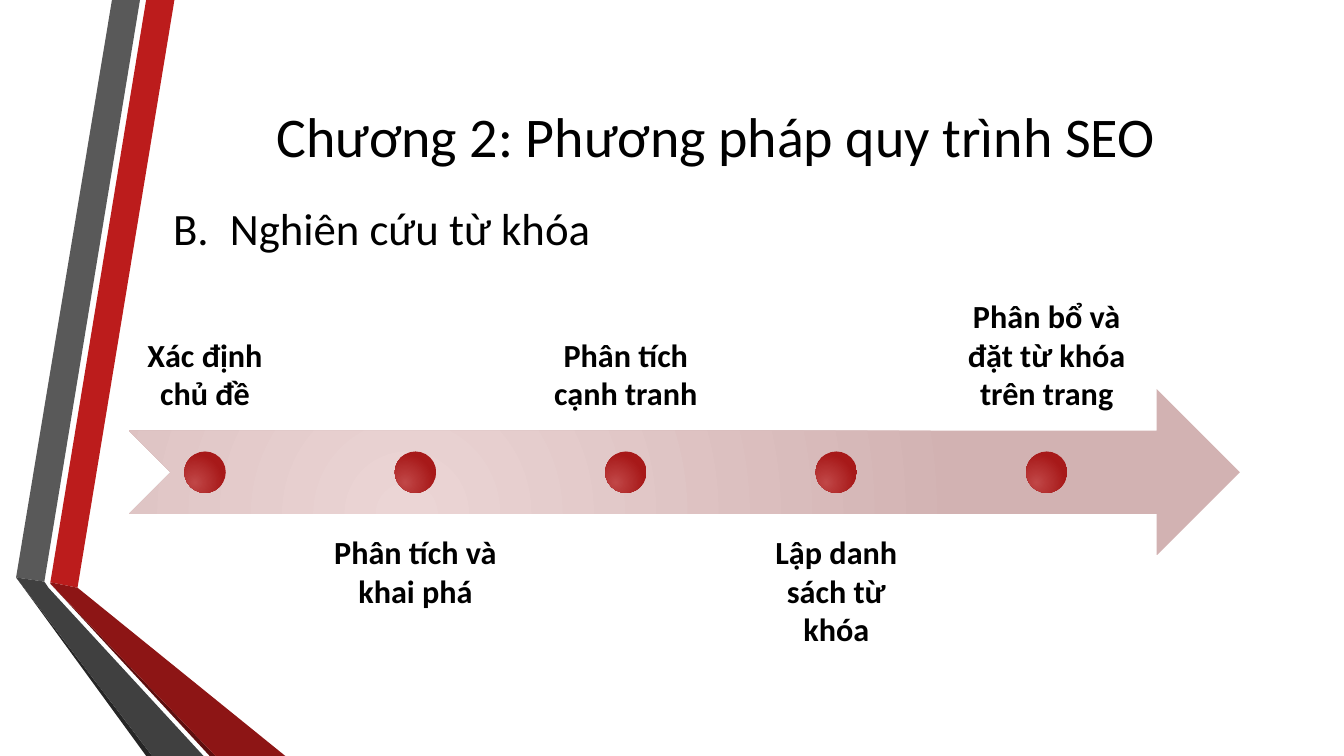
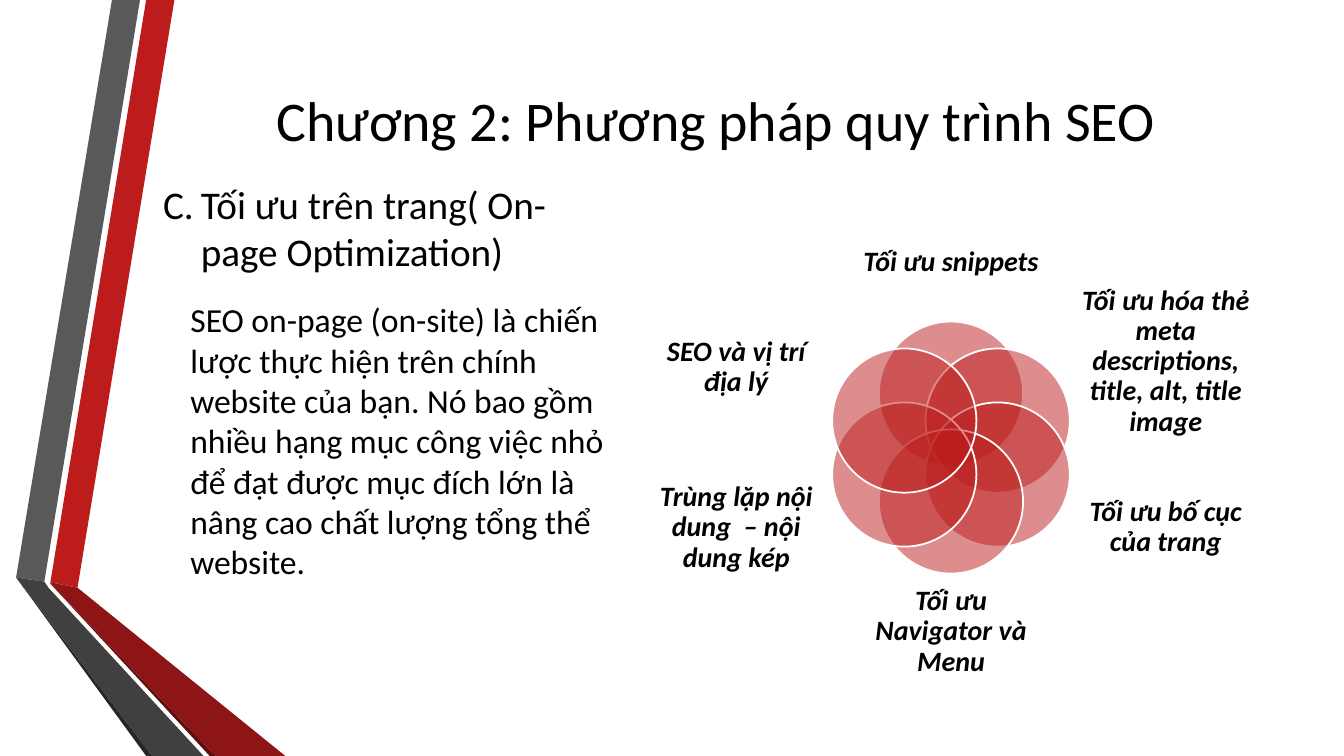
import math

from lxml import etree
from pptx import Presentation
from pptx import util as u
from pptx.dml.color import RGBColor
from pptx.enum import shapes, text
from pptx.oxml import ns

FONT = "Calibri"
BLACK, WHITE, RED = "000000", "FFFFFF", "BC1C1C"
CHAPTER = "Chương 2: Phương pháp quy trình SEO"
BANDS = [
    (RED, [(36, 416), (55.4, 419.8), (124.6, 0), (104.4, 0)]),
    ("595959", [(100, 0), (80, 0), (11.5, 412.5), (31.7, 415.5)]),
    ("262626", [(11.5, 412.5), (104.4, 540), (108.7, 540)]),
    ("5E0E0E", [(36, 416.9), (149.8, 540), (154, 540)]),
    ("8D1515", [(36, 416), (36, 416.9), (154, 540), (203.8, 540), (55.4, 419.8)]),
    ("404040", [(11.5, 412.5), (108.7, 540), (145.4, 540), (34.6, 419.8), (31.7, 415.5)]),
]
MIDDLE, TOP, BOTTOM = (text.MSO_ANCHOR.MIDDLE, text.MSO_ANCHOR.TOP,
                       text.MSO_ANCHOR.BOTTOM)


def rgb(code):
    return RGBColor.from_string(code)


def points(*lengths):
    return [u.Pt(length) for length in lengths]


def add_xml(parent, tag, **attributes):
    return etree.SubElement(parent, ns.qn(tag), attributes)


class Deck:
    """Holds the shared style and the slide being drawn."""

    def __init__(self):
        self.prs = Presentation()
        self.prs.slide_width, self.prs.slide_height = points(960, 540)
        self.slide = None

    def start_slide(self, title, title_height):
        self.slide = self.prs.slides.add_slide(self.prs.slide_layouts[6])
        for color, corners in BANDS:
            self.band(color, corners)
        self.add_text(title, 116.6, 54, 789, title_height, size=40,
                      centered=True, anchor=MIDDLE)

    def band(self, color, corners):
        first, *rest = [points(*corner) for corner in corners]
        builder = self.slide.shapes.build_freeform(*first)
        builder.add_line_segments(rest)
        self.paint(builder.convert_to_shape(), color)

    def paint(self, shape, color, outline=None):
        shape.shadow.inherit = False
        shape.fill.solid()
        shape.fill.fore_color.rgb = rgb(color)
        if outline:
            shape.line.color.rgb = rgb(outline)
            shape.line.width = u.Pt(1.25)
        else:
            shape.line.fill.background()

    def radial(self, kind, left, top, width, height, inner, outer):
        """Adds a shape with a gradient that spreads from its lower edge."""
        shape = self.slide.shapes.add_shape(kind, *points(left, top, width, height))
        shape.shadow.inherit = False
        shape.line.fill.background()
        shape.fill.gradient()
        for stop, color, position in zip(shape.fill.gradient_stops,
                                         (inner, outer), (0, 1)):
            stop.color.rgb = rgb(color)
            stop.position = position
        gradient = shape._element.spPr.find(ns.qn("a:gradFill"))
        gradient.remove(gradient.find(ns.qn("a:lin")))
        spread = add_xml(gradient, "a:path", path="circle")
        add_xml(spread, "a:fillToRect", l="50000", t="100000", r="100000", b="50000")

    def petal(self, center_x, center_y, diameter):
        """Adds a half-transparent circle with a white outline."""
        shape = self.slide.shapes.add_shape(
            shapes.MSO_SHAPE.OVAL,
            *points(center_x - diameter / 2, center_y - diameter / 2, diameter, diameter))
        self.paint(shape, RED, outline=WHITE)
        color = shape._element.spPr.find(ns.qn("a:solidFill"))[0]
        add_xml(color, "a:alpha", val="50000")

    def add_text(self, words, left, top, width, height, *, size, bold=False,
                 italic=False, centered=False, anchor=TOP, inset=(7.2, 3.6),
                 spacing=None, letter=None, indent=0):
        """Adds a text box; letter is the place in the alphabet of its list mark."""
        box = self.slide.shapes.add_textbox(*points(left, top, width, height))
        frame = box.text_frame
        frame.word_wrap = True
        frame.vertical_anchor = anchor
        frame.margin_left = frame.margin_right = u.Pt(inset[0])
        frame.margin_top = frame.margin_bottom = u.Pt(inset[1])
        paragraph = frame.paragraphs[0]
        if centered:
            paragraph.alignment = text.PP_ALIGN.CENTER
        if spacing:
            paragraph.line_spacing = spacing
        if letter:
            properties = paragraph._p.get_or_add_pPr()
            properties.set("marL", str(u.Pt(indent)))
            properties.set("indent", str(-u.Pt(indent)))
            add_xml(properties, "a:buFont", typeface="+mj-lt")
            add_xml(properties, "a:buAutoNum", type="alphaUcPeriod",
                    startAt=str(letter))
        run = paragraph.add_run()
        run.text = words
        font = run.font
        font.name, font.size = FONT, u.Pt(size)
        font.bold, font.italic = bold, italic
        font.color.rgb = rgb(BLACK)


def keyword_slide(deck):
    deck.start_slide(CHAPTER, 85.7)
    deck.radial(shapes.MSO_SHAPE.NOTCHED_RIGHT_ARROW, 92.2, 277.9, 793.4, 118.8,
                "EBD5D5", "D2B2B2")
    steps = ["Xác định chủ đề", "Phân tích và khai phá", "Phân tích cạnh tranh",
             "Lập danh sách từ khóa", "Phân bổ và đặt từ khóa trên trang"]
    width, dot = 143, 29.6
    for i, step in enumerate(steps):
        center = 146.5 + 150.3 * i
        above = i % 2 == 0
        deck.add_text(step, center - width / 2, 188.6 if above else 367.2, width, 118.8,
                      size=23, bold=True, centered=True, inset=(13, 13),
                      anchor=BOTTOM if above else TOP)
        deck.radial(shapes.MSO_SHAPE.OVAL, center - dot / 2, 322.5, dot, dot,
                    "C14747", "A71919")
    deck.add_text("Nghiên cứu từ khóa", 116.6, 139.7, 625.7, 46, size=32,
                  letter=2, indent=40.5)


def on_page_slide(deck):
    deck.start_slide(CHAPTER, 62)
    hub_x, hub_y = 679.3, 319.7
    # Clockwise from the top: words, offset from the hub, middle, width, height
    topics = [
        ("Tối ưu snippets", 0, 187.6, 129, 70),
        ("Tối ưu hóa thẻ meta descriptions, title, alt, title image",
         153.4, 258.2, 122, 77),
        ("Tối ưu bố cục của trang", 153.4, 377, 122, 86),
        ("Tối ưu Navigator và Menu", 0, 451.2, 129, 70),
        ("Trùng lặp nội dung  – nội dung kép", -153.4, 377, 122, 86),
        ("SEO và vị trí địa lý", -153.4, 262.4, 122, 86),
    ]
    for i, (topic, offset, middle, width, height) in enumerate(topics):
        angle = math.tau * i / len(topics)
        deck.petal(hub_x + 38.5 * math.sin(angle), hub_y - 38.5 * math.cos(angle), 103)
        deck.add_text(topic, hub_x + offset - width / 2, middle - height / 2,
                      width, height, size=20, bold=True, italic=True, centered=True,
                      anchor=MIDDLE, inset=(0, 0), spacing=0.9)
    deck.add_text("Tối ưu trên trang( On-page Optimization)", 109.4, 125.3, 311.8, 75,
                  size=28, letter=3, indent=27)
    deck.add_text("SEO on-page (on-site) là chiến lược thực hiện trên chính website "
                  "của bạn. Nó bao gồm nhiều hạng mục công việc nhỏ để đạt được "
                  "mục đích lớn là nâng cao chất lượng tổng thể website.",
                  128.9, 210.2, 311.8, 262, size=24)


def main():
    deck = Deck()
    keyword_slide(deck)
    on_page_slide(deck)
    deck.prs.save("out.pptx")


if __name__ == "__main__":
    main()
